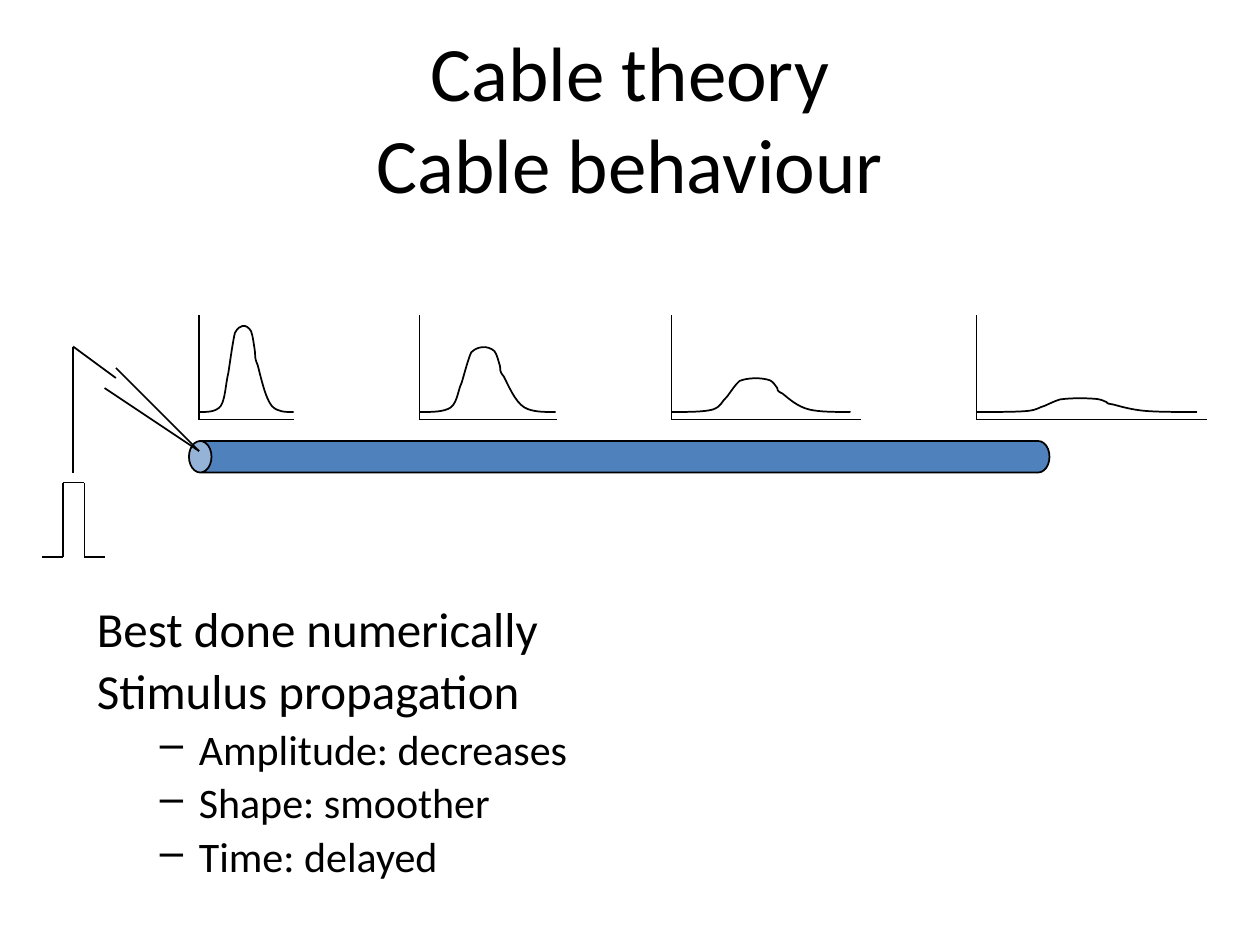
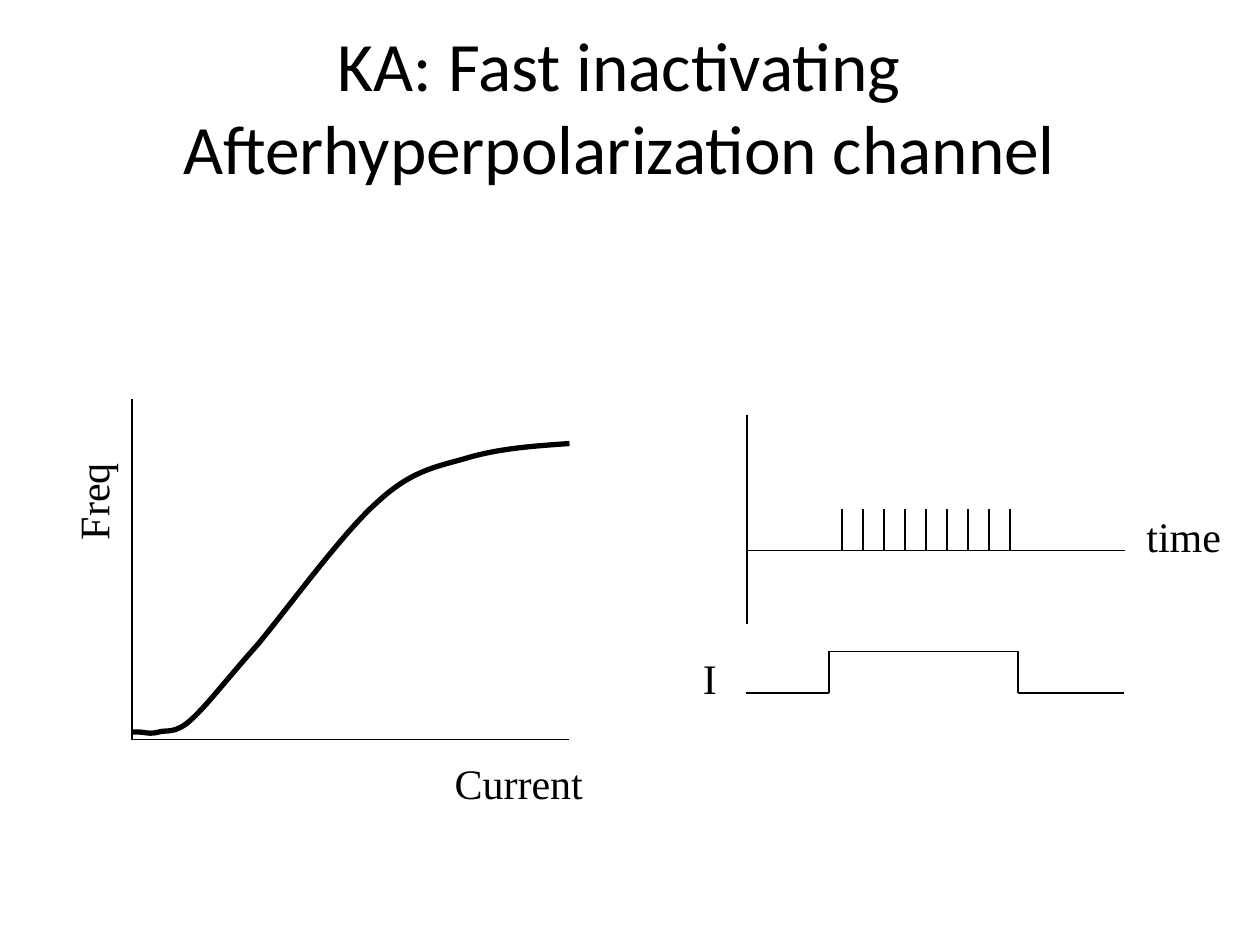
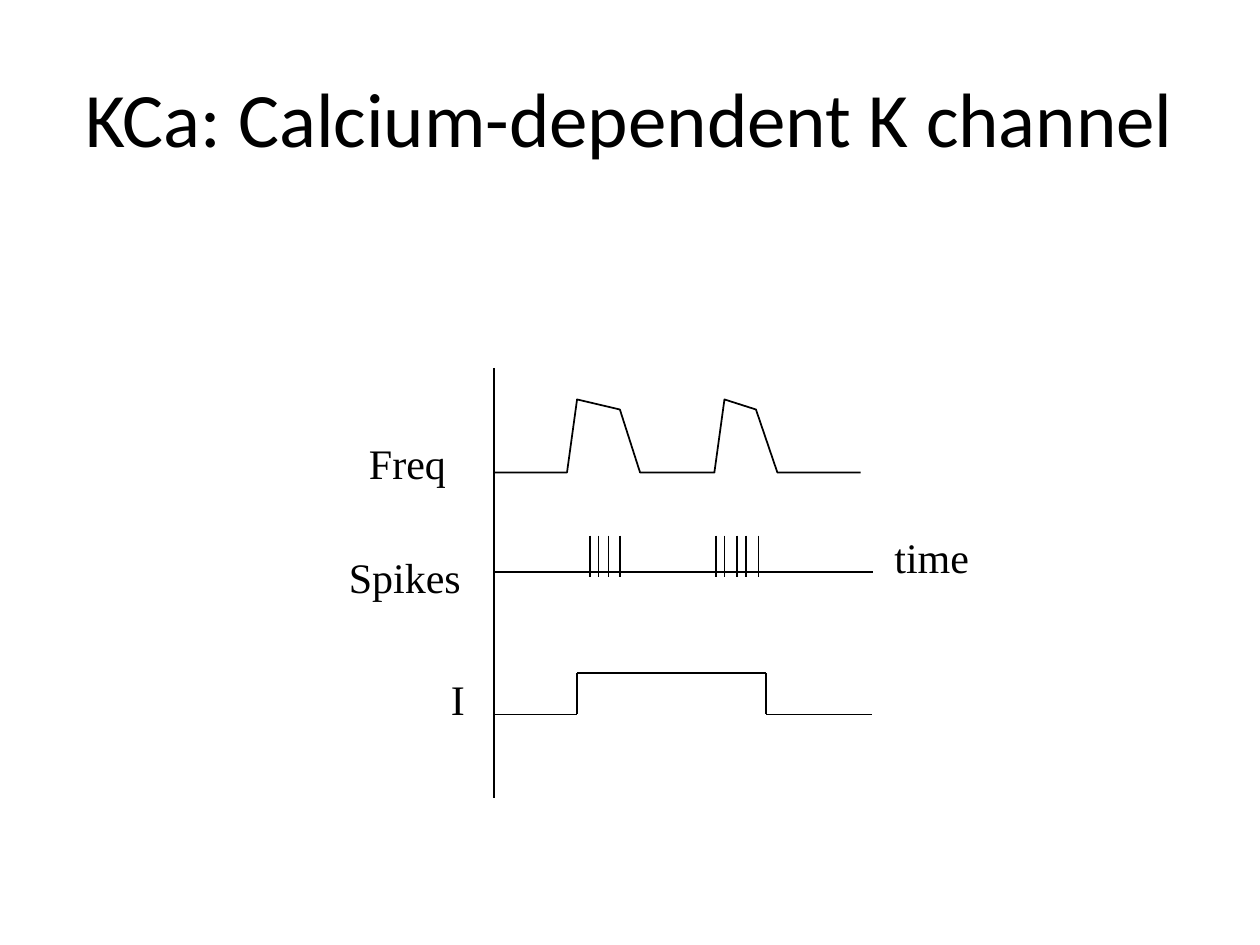
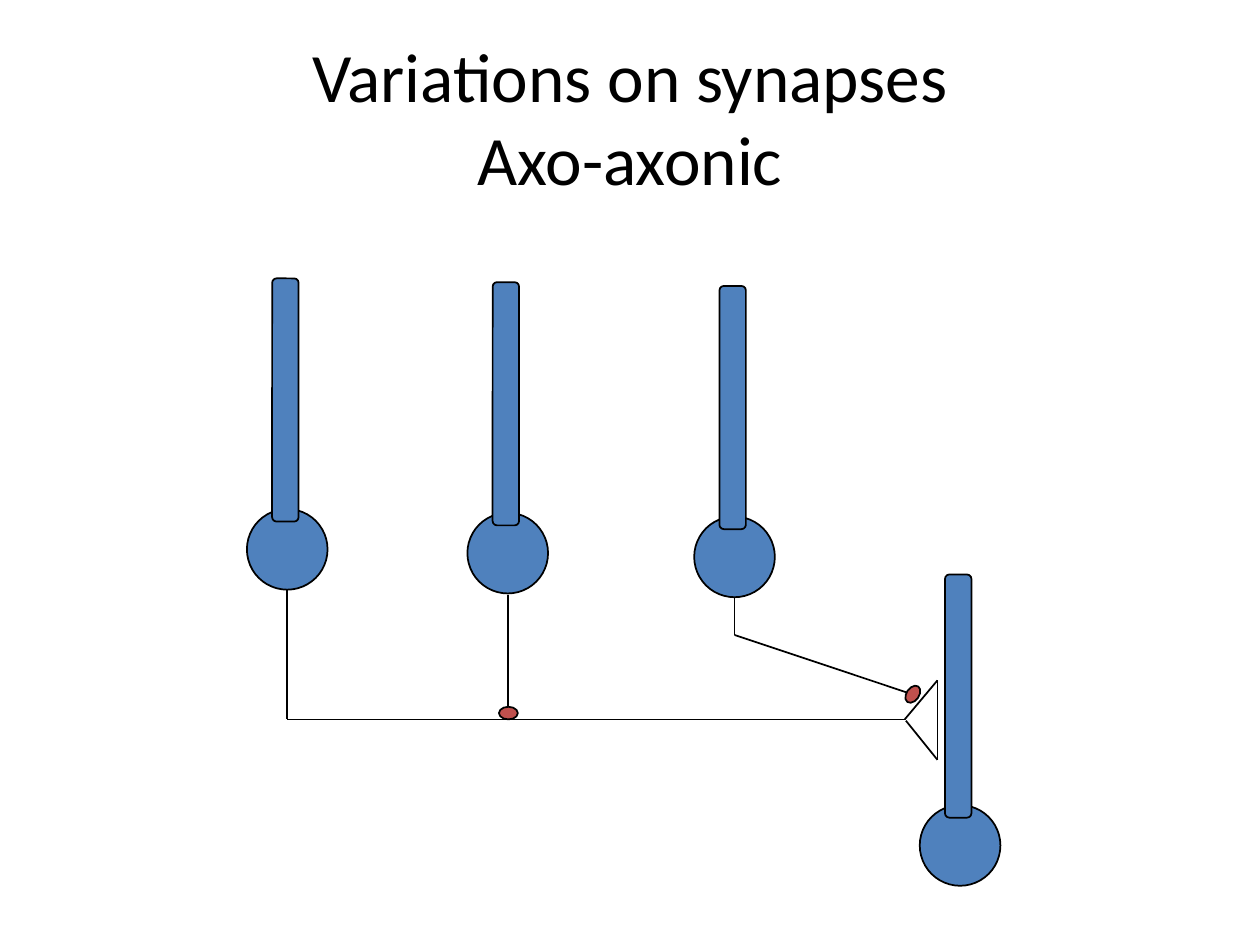
from itertools import pairwise

from lxml import etree
from pptx import Presentation
from pptx.dml.color import RGBColor
from pptx.enum.shapes import MSO_CONNECTOR, MSO_SHAPE
from pptx.enum.text import MSO_ANCHOR, PP_ALIGN
from pptx.oxml.ns import qn
from pptx.util import Inches, Pt

BLACK = RGBColor(0x00, 0x00, 0x00)
BLUE = RGBColor(0x4F, 0x81, 0xBD)
RED = RGBColor(0xC0, 0x50, 0x4D)
TITLE_FONT = "Calibri"
LABEL_FONT = "Times New Roman"
STRAIGHT = MSO_CONNECTOR.STRAIGHT
CAN, OVAL, ROUNDED = MSO_SHAPE.CAN, MSO_SHAPE.OVAL, MSO_SHAPE.ROUNDED_RECTANGLE
MIDDLE = MSO_ANCHOR.MIDDLE
CENTER = PP_ALIGN.CENTER

# Bezier points of a response, as shares of its box: start, then triples
RESPONSE = [
    (0, 1), (0.09, 1), (0.18, 1), (0.23, 0.93), (0.28, 0.84), (0.28, 0.68), (0.31, 0.55),
    (0.33, 0.41), (0.36, 0.17), (0.38, 0.09), (0.41, 0.03), (0.43, 0.02), (0.46, 0.01),
    (0.49, 0), (0.53, 0.03), (0.55, 0.07), (0.57, 0.12), (0.58, 0.23), (0.59, 0.29),
    (0.60, 0.36), (0.58, 0.36), (0.62, 0.46), (0.65, 0.58), (0.70, 0.84), (0.77, 0.93),
    (0.83, 1), (0.91, 1), (1, 1)]
# Bezier points of the frequency curve, in inches from the top left of its axes
FREQUENCY = [
    (0, 2.64), (0.02, 2.64), (0.02, 2.64), (0.06, 2.64), (0.09, 2.64), (0.14, 2.66),
    (0.21, 2.64), (0.27, 2.62), (0.34, 2.66), (0.47, 2.54), (0.6, 2.42), (0.75, 2.22),
    (1, 1.94), (1.24, 1.65), (1.67, 1.06), (1.94, 0.82), (2.21, 0.57), (2.39, 0.54),
    (2.64, 0.47), (2.9, 0.39), (3.18, 0.37), (3.47, 0.35)]


# Shared drawing helpers
def shifted(points, left, top):
    return [(left + x, top + y) for x, y in points]


def add_lines(shapes, points):
    """Join the points with straight connectors."""
    for (x1, y1), (x2, y2) in pairwise(points):
        line = shapes.add_connector(STRAIGHT, Inches(x1), Inches(y1), Inches(x2), Inches(y2))
        line.line.color.rgb = BLACK
        line.line.width = Pt(1)
        etree.SubElement(line._element.spPr, qn("a:effectLst"))


def add_axes(page, left, top, width, height):
    bottom = top + height
    add_lines(page.shapes, [(left, top), (left, bottom), (left + width, bottom)])


def add_outline(page, points, weight=1, curved=False):
    """Draw an open path; a curved one reads its points as Bezier triples."""
    corners = [(Inches(x), Inches(y)) for x, y in points]
    builder = page.shapes.build_freeform(*corners[0])
    builder.add_line_segments(corners[1:], close=False)
    outline = builder.convert_to_shape()
    outline.shadow.inherit = False
    outline.fill.background()
    outline.line.color.rgb = BLACK
    outline.line.width = Pt(weight)
    if curved:
        steps = list(outline._element.iter(qn("a:lnTo")))
        for start in range(0, len(steps), 3):
            bend = etree.Element(qn("a:cubicBezTo"))
            steps[start].addprevious(bend)
            for step in steps[start:start + 3]:
                bend.append(step[0])
                step.getparent().remove(step)


def add_solid(shapes, kind, left, top, width, height, color, rotation=0):
    solid = shapes.add_shape(kind, Inches(left), Inches(top), Inches(width), Inches(height))
    solid.shadow.inherit = False
    solid.fill.solid()
    solid.fill.fore_color.rgb = color
    solid.line.color.rgb = BLACK
    solid.line.width = Pt(1)
    solid.rotation = rotation
    return solid


def set_font(para, name, size):
    para.font.name = name
    para.font.size = Pt(size)
    para.font.color.rgb = BLACK


def add_text_box(page, left, top, width, height, wrap=True):
    box = page.shapes.add_textbox(Inches(left), Inches(top), Inches(width), Inches(height))
    box.text_frame.word_wrap = wrap
    return box


def add_title(page, text, size=44, left=0.5, top=0.3, width=9, height=1.25):
    frame = add_text_box(page, left, top, width, height).text_frame
    frame.vertical_anchor = MIDDLE
    para = frame.paragraphs[0]
    para.text = text
    para.alignment = CENTER
    set_font(para, TITLE_FONT, size)


def add_label(page, text, left, top, width, rotation=0):
    box = add_text_box(page, left, top, width, 0.5, wrap=False)
    box.rotation = rotation
    para = box.text_frame.paragraphs[0]
    para.text = text
    set_font(para, LABEL_FONT, 24)


def add_recording(page, left, baseline, spikes, spike_top):
    """Spike train on a time line, with the injected current step below."""
    add_lines(page.shapes, [(left, baseline), (left + 3, baseline)])
    for moment in spikes:
        x = left + moment
        add_lines(page.shapes, [(x, spike_top), (x, spike_top + 0.33)])
    add_label(page, "time", left + 3.07, baseline - 0.37, 0.79)
    step = [(0, 0.33), (0.66, 0.33), (0.66, 0), (2.16, 0), (2.16, 0.33), (3, 0.33)]
    add_lines(page.shapes, shifted(step, left - 0.01, baseline + 0.8))
    add_label(page, "I", left - 0.45, baseline + 0.76, 0.31)


# Slide 1: cable
def add_findings(page, left, top, width, height):
    frame = add_text_box(page, left, top, width, height).text_frame
    findings = [("Best done numerically", 0), ("Stimulus propagation", 0),
                ("Amplitude: decreases", 1), ("Shape: smoother", 1), ("Time: delayed", 1)]
    for number, (text, level) in enumerate(findings):
        para = frame.add_paragraph() if number else frame.paragraphs[0]
        para.text = text
        para.line_spacing = 0.9
        size = 24 if level else 28
        if number:
            para.space_before = Pt(size * 0.2)
        if level:
            para.level = level
            props = para._p.get_or_add_pPr()
            props.set("marL", str(Inches(0.81)))
            props.set("indent", str(-Inches(0.31)))
            etree.SubElement(props, qn("a:buChar")).set("char", "–")
        set_font(para, TITLE_FONT, size)


def add_stimulus(page, left, top):
    """Current pulse and the electrode that carries it to the cable."""
    pulse = [(0, 1.67), (0.17, 1.67), (0.17, 1.08), (0.34, 1.08), (0.34, 1.67), (0.5, 1.67)]
    add_lines(page.shapes.add_group_shape().shapes, shifted(pulse, left, top))
    electrode = page.shapes.add_group_shape().shapes
    tip = [(0.59, 0.17), (1.25, 0.83), (0.5, 0.33)]
    wire = [(0.59, 0.25), (0.25, 0), (0.25, 1)]
    for part in (tip, wire):
        add_lines(electrode, shifted(part, left, top))


def add_response(page, left, top, axis_width, width, height):
    add_axes(page, left, top, axis_width, 0.83)
    curve_top = top + 0.77 - height
    curve = [(left + x * width, curve_top + y * height) for x, y in RESPONSE]
    add_outline(page, curve, curved=True)


def build_cable(page):
    add_title(page, "Cable theory\vCable behaviour")
    add_findings(page, 0.67, 4.75, 7.63, 2.5)
    cable = add_solid(page.shapes, CAN, 4.79, 0.21, 0.25, 6.83, BLUE, rotation=270)
    cable.adjustments[0] = 0.715
    add_stimulus(page, 0.33, 2.75)
    for left, axis_width, width, height in [
            (1.58, 0.75, 0.75, 0.69), (3.33, 1.09, 1.08, 0.52),
            (5.33, 1.5, 1.42, 0.27), (7.75, 1.83, 1.75, 0.11)]:
        add_response(page, left, 2.5, axis_width, width, height)


# Slide 2: fast inactivating channel
def add_frequency_plot(page, left, top, width, height):
    add_axes(page, left, top, width, height)
    add_outline(page, shifted(FREQUENCY, left, top), weight=3, curved=True)
    add_label(page, "Freq", left - 0.72, top + 0.56, 0.81, rotation=270)
    add_label(page, "Current", left + 2.46, top + height + 0.09, 1.22)


def build_fast_channel(page):
    add_title(page, "KA: Fast inactivating Afterhyperpolarization channel",
              39.6, 0.25, 0.25, 9.33, 1.17)
    add_frequency_plot(page, 1.05, 3.17, 3.47, 2.7)
    add_lines(page.shapes, [(5.93, 3.29), (5.93, 4.95)])
    add_recording(page, 5.93, 4.37, [0.75 + n / 6 for n in range(9)], 4.04)


# Slide 3: calcium-dependent channel
def add_bursts(page, left, top):
    bursts = [(0, 0.58), (0.58, 0.58), (0.66, 0), (1, 0.08), (1.16, 0.58),
              (1.75, 0.58), (1.83, 0), (2.08, 0.08), (2.25, 0.58), (2.91, 0.58)]
    add_outline(page, shifted(bursts, left, top))
    add_label(page, "Freq", left - 1.09, top + 0.25, 0.81)


def build_calcium_channel(page):
    add_title(page, "KCa: Calcium-dependent K channel")
    add_lines(page.shapes, [(3.92, 2.92), (3.92, 6.33)])
    spikes = [0.75, 0.82, 0.9, 0.99, 1.75, 1.82, 1.92, 1.99, 2.09]
    add_recording(page, 3.93, 4.54, spikes, 4.25)
    add_label(page, "Spikes", 2.67, 4.33, 1.09)
    add_bursts(page, 3.92, 3.17)


# Slide 4: synapses
def add_neuron(page, left, top):
    """Round cell body below an upright dendrite."""
    neuron = page.shapes.add_group_shape().shapes
    add_solid(neuron, OVAL, left, top + 1.83, 0.64, 0.64, BLUE)
    add_solid(neuron, ROUNDED, left + 0.2, top, 0.21, 1.93, BLUE)


def build_synapses(page):
    add_title(page, "Variations on synapses\vAxo-axonic", 39.6)
    for left, top in [(1.96, 2.21), (3.71, 2.24), (7.3, 4.56), (5.51, 2.27)]:
        add_neuron(page, left, top)
    # Axons, the first one ending in a triangular terminal
    for axon in [
            [(2.28, 4.68), (2.28, 5.71), (7.18, 5.71), (7.44, 5.4), (7.44, 6.03), (7.19, 5.72)],
            [(4.03, 4.72), (4.03, 5.61)],
            [(5.83, 4.74), (5.83, 5.04), (7.24, 5.51)]]:
        add_lines(page.shapes, axon)
    # Synapses onto the first axon
    for left, top, rotation in [(3.96, 5.61, 0), (7.17, 5.46, 304.9)]:
        add_solid(page.shapes, OVAL, left, top, 0.15, 0.1, RED, rotation)


def main():
    deck = Presentation()
    deck.slide_width, deck.slide_height = Inches(10), Inches(7.5)
    blank = deck.slide_layouts[6]
    for build in (build_cable, build_fast_channel, build_calcium_channel, build_synapses):
        build(deck.slides.add_slide(blank))
    deck.save("out.pptx")


if __name__ == "__main__":
    main()
